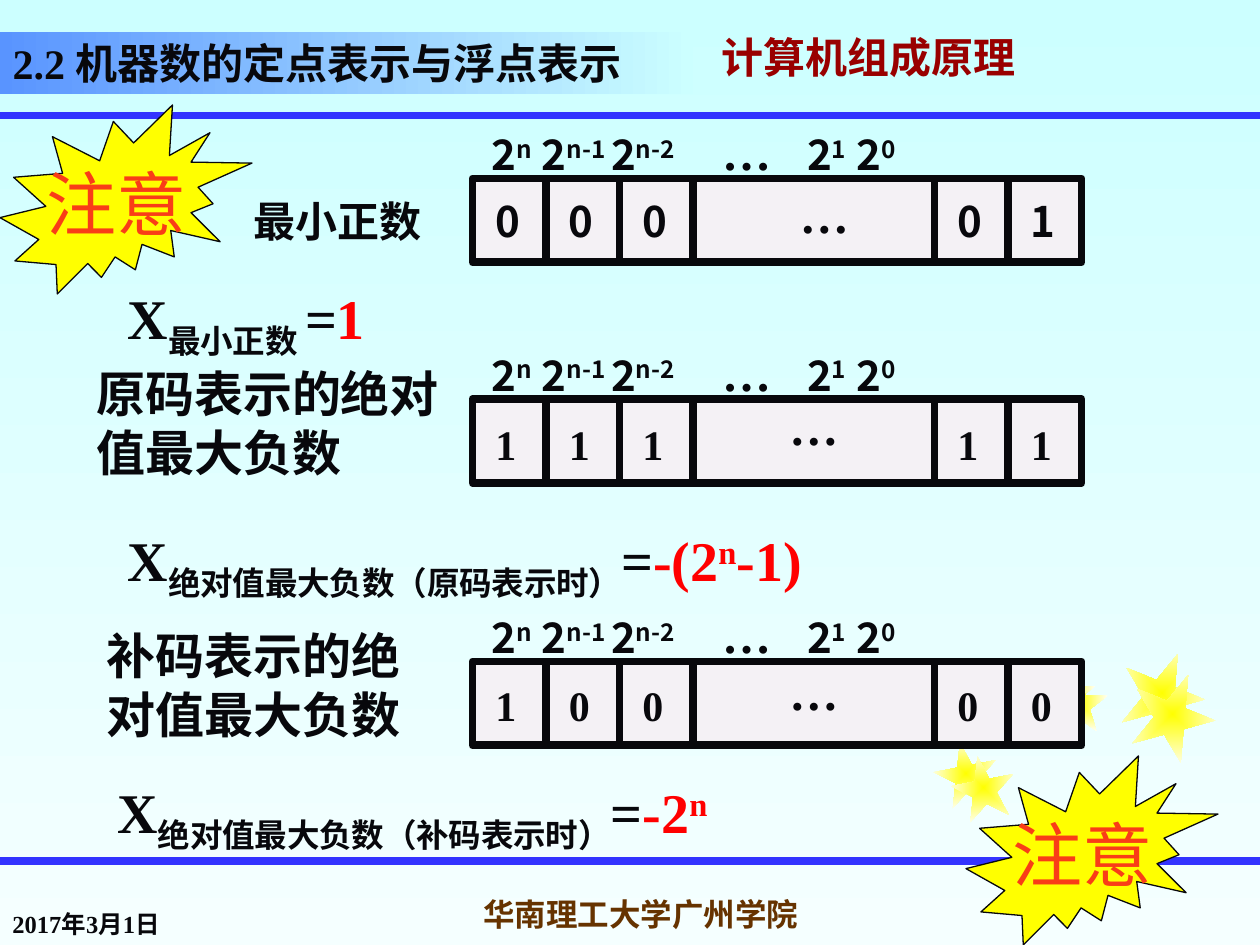
import pptx
import pptx.util
import pptx.dml.color
import pptx.enum.shapes
import pptx.enum.text
import pptx.oxml
import pptx.oxml.ns
from lxml import etree

Pt = pptx.util.Pt
SHAPE = pptx.enum.shapes.MSO_SHAPE
ALIGN = pptx.enum.text.PP_ALIGN
ANCHOR = pptx.enum.text.MSO_ANCHOR
qn = pptx.oxml.ns.qn

TIMES, NOTO = "Times New Roman", "Noto Sans CJK SC"
INK, RED, BLUE, YELLOW = "08080C", "FF0000", "3333FF", "FFFF00"
SUB, SUP = {"base": -25}, {"base": 30}

TITLE = [("2.2 机器", {}), ("数的定点表示与浮点表示", {"font": NOTO})]
COURSE, DATE, SCHOOL, NOTICE = "计算机组成原理", "2017年3月1日", "华南理工大学广州学院", "注意"
RULES = [66, 492]
STARS = [(534, 424, 36, 349), (593, 379.5, 33, 0), (640, 372, 48, 22),
         (544, 432, 36, 349), (600, 385, 33, 0), (646, 384, 48, 22)]
NOTICES = [(552, 432), (0, 60)]

WEIGHTS = [("2", {}), ("n", SUP), ("\t2", {}), ("n-1", SUP), ("\t2", {}), ("n-2", SUP),
           ("\t…", {"size": 28, "font": TIMES}), ("\t2", {}), ("1", SUP), ("\t2", {}), ("0", SUP)]
WEIGHT_TABS = [29, 68.5, 132, 180.5, 209]
REG_LEFT, REG_WIDTH, REG_HEIGHT = 270, 348, 48
DIVIDERS = [312, 354, 396, 534, 576]
CELLS = [270, 312, 354, 534, 576]

REGISTERS = [
    {"top": 102, "digits": "00001", "font": NOTO, "digit_top": 108, "dots": (450, 102),
     "label": ["最小正数"], "label_box": (138, 108, 150, 36), "label_size": 24},
    {"top": 228, "digits": "11111", "font": TIMES, "digit_top": 235.5, "dots": (444, 223),
     "label": ["原码表示的绝对值最大负数"], "label_box": (48, 204, 210, 74), "label_size": 28},
    {"top": 378, "digits": "10000", "font": TIMES, "digit_top": 385, "dots": (444, 374.5),
     "label": ["补码表示的绝", "对值最大负数"], "label_box": (54, 354, 234, 75), "label_size": 28},
]
FORMULAS = [
    (66, 150, "最小正数 ", [("1", {})]),
    (66, 288, "绝对值最大负数（原码表示时）", [("-(2", {}), ("n", SUP), ("-1)", {})]),
    (60, 432, "绝对值最大负数（补码表示时）", [("-2", {}), ("n", SUP)]),
]


def rgb(value):
    return pptx.dml.color.RGBColor.from_string(value)


def write(sp, paragraphs, size=24, font=TIMES, color=INK, bold=True, base=0, align=None,
          anchor=ANCHOR.TOP, wrap=True, spacing=None):
    tf = sp.text_frame
    tf.word_wrap = wrap
    tf.vertical_anchor = anchor
    for i, runs in enumerate(paragraphs):
        p = tf.paragraphs[0] if i == 0 else tf.add_paragraph()
        p.alignment = align or ALIGN.LEFT
        p.space_before = Pt(0)
        if spacing:
            p.line_spacing = spacing
        for text, own in [(runs, {})] if isinstance(runs, str) else runs:
            r = p.add_run()
            r.text = text
            r.font.size = Pt(own.get("size", size))
            r.font.bold = bold
            r.font.color.rgb = rgb(own.get("color", color))
            r.font.name = own.get("font", font)
            rpr = r.font._element
            etree.SubElement(rpr, qn("a:ea")).set("typeface", NOTO)
            level = own.get("base", base)
            if level:
                rpr.set("baseline", str(level * 1000))
    return sp


def text_box(box, paragraphs, **style):
    return write(s.shapes.add_textbox(*map(Pt, box)), paragraphs, **style)


def shape(kind, box, fill=None, line=None, width=0.75):
    sp = s.shapes.add_shape(kind, *map(Pt, box))
    sp.shadow.inherit = False
    if fill:
        sp.fill.solid()
        sp.fill.fore_color.rgb = rgb(fill)
    if line:
        sp.line.color.rgb = rgb(line)
        sp.line.width = Pt(width)
    else:
        sp.line.fill.background()
    return sp


def line(x1, y1, x2, y2, color):
    c = s.shapes.add_connector(pptx.enum.shapes.MSO_CONNECTOR.STRAIGHT, *map(Pt, (x1, y1, x2, y2)))
    c.line.color.rgb = rgb(color)
    c.line.width = Pt(4.5)
    etree.SubElement(c._element.spPr, qn("a:effectLst"))


def gradient(fill, first, last, angle=0):
    fill.gradient()
    fill.gradient_angle = angle
    for stop, color, position in zip(fill.gradient_stops, (first, last), (0, 1)):
        stop.color.rgb = rgb(color)
        stop.position = position


def gradient_from_centre(sp, first, last):
    gradient(sp.fill, first, last)
    lin = sp._element.spPr.find(".//" + qn("a:lin"))
    route = etree.Element(qn("a:path"), {"path": "shape"})
    etree.SubElement(route, qn("a:fillToRect"), {side: "50000" for side in "ltrb"})
    lin.getparent().replace(lin, route)


def text_shadow(sp):
    rpr = sp.text_frame.paragraphs[0].runs[0].font._element
    effects = etree.Element(qn("a:effectLst"))
    shadow = etree.SubElement(effects, qn("a:outerShdw"), {"dist": "35921", "dir": "2700000"})
    etree.SubElement(shadow, qn("a:srgbClr"), {"val": "808080"})
    rpr.find(qn("a:solidFill")).addnext(effects)


def tab_stops(sp, positions):
    ppr = sp.text_frame.paragraphs[0]._p.get_or_add_pPr()
    tabs = etree.SubElement(ppr, qn("a:tabLst"))
    for x in positions:
        etree.SubElement(tabs, qn("a:tab"), {"pos": str(int(Pt(x))), "algn": "l"})


def register(reg):
    top = reg["top"]
    shape(SHAPE.RECTANGLE, (REG_LEFT, top, REG_WIDTH, REG_HEIGHT), "F4F1F5", INK, 4.5)
    for x in DIVIDERS:
        line(x, top, x, top + REG_HEIGHT, INK)
    weights = text_box((273.6, top - 36, 334, 41), [WEIGHTS], font=NOTO, anchor=ANCHOR.MIDDLE)
    tab_stops(weights, WEIGHT_TABS)
    text_box(reg["label_box"], reg["label"], size=reg["label_size"])
    for x, digit in zip(CELLS, reg["digits"]):
        text_box((x + 6, reg["digit_top"], 48, 36), [digit], font=reg["font"])
    text_box((*reg["dots"], 78, 41), ["…"], size=28)


prs = pptx.Presentation()
prs.slide_width, prs.slide_height = Pt(720), Pt(540)
s = prs.slides.add_slide(prs.slide_layouts[5])
gradient(s.background.fill, "CCFFFF", "F5FFFF", 270)

title = s.shapes.title
title.left, title.top, title.width, title.height = map(Pt, (0, 18, 396, 36))
gradient(title.fill, "5994FF", "CCFFFF")
write(title, [TITLE], anchor=ANCHOR.BOTTOM)

text_shadow(text_box((405, 18, 315, 36), [COURSE], font=NOTO, color="990000",
                     anchor=ANCHOR.MIDDLE, spacing=0.7))
for y in RULES:
    line(0, y, 720, y, BLUE)
for x, y, side, turn in STARS:
    star = shape(SHAPE.STAR_5_POINT, (x, y, side, side))
    star.rotation = turn
    gradient_from_centre(star, YELLOW, "FFFFF5")
text_box((0, 504, 150, 36), [DATE], size=14, anchor=ANCHOR.BOTTOM)
text_box((252, 504, 228, 36), [SCHOOL], size=18, color="663300", align=ALIGN.CENTER,
         anchor=ANCHOR.MIDDLE, wrap=False)

for reg in REGISTERS:
    register(reg)
for x, y, name, value in FORMULAS:
    result = [(text, {**own, "color": RED}) for text, own in value]
    text_box((x, y, 640, 53), [[("X", {}), (name, SUB), ("=", {})] + result], size=32, spacing=1.2)
for x, y in NOTICES:
    write(shape(SHAPE.EXPLOSION2, (x, y, 144, 108), YELLOW, INK), [NOTICE], size=40, color="F93D17",
          bold=False, align=ALIGN.CENTER, anchor=ANCHOR.MIDDLE, wrap=False)

prs.save("out.pptx")
